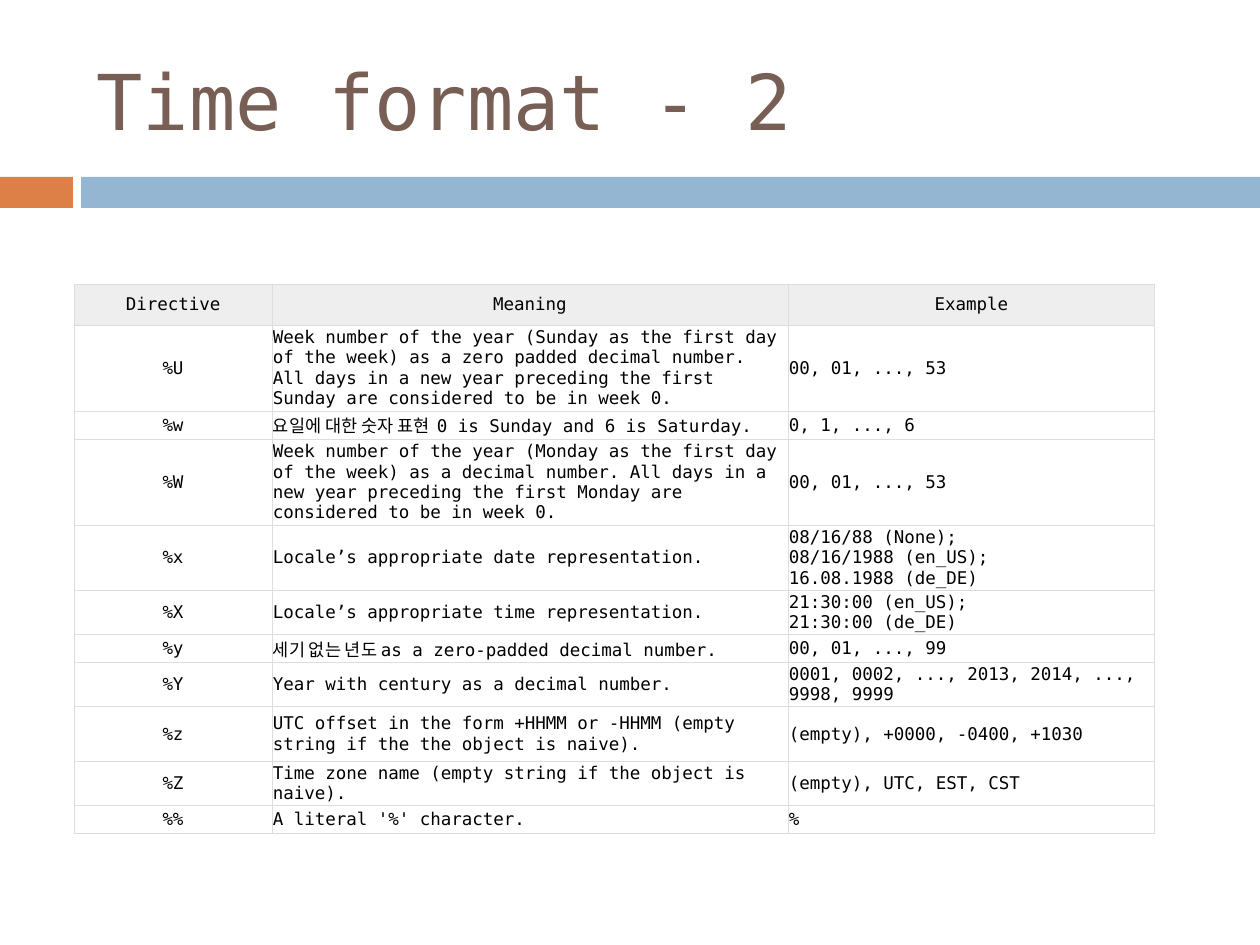
from lxml.etree import SubElement
from pptx import Presentation
from pptx.dml.color import RGBColor as Rgb
from pptx.enum.shapes import MSO_SHAPE as Kind
from pptx.enum.text import MSO_ANCHOR as Anchor, PP_ALIGN as Align
from pptx.oxml.ns import qn
from pptx.util import Pt

SCALE = 914400 / 126
FONT = "DejaVu Sans Mono"
COLORS = {
    "title": "775F55",
    "accent": "DD8047",
    "band": "94B6D2",
    "head": "EEEEEE",
    "body": "FFFFFF",
    "text": "000000",
    "edge": "DDDDDD",
}
COLS = [198, 516, 367]
ROWS = [
    ("Directive", "Meaning", "Example"),
    ("%U", "Week number of the year (Sunday as the first day of the week) as a zero padded "
           "decimal number. All days in a new year preceding the first Sunday are considered "
           "to be in week 0.", "00, 01, ..., 53"),
    ("%w", "요일에 대한 숫자 표현  0 is Sunday and 6 is Saturday.", "0, 1, ..., 6"),
    ("%W", "Week number of the year (Monday as the first day of the week) as a decimal "
           "number. All days in a new year preceding the first Monday are considered "
           "to be in week 0.", "00, 01, ..., 53"),
    ("%x", "Locale’s appropriate date representation.",
     "08/16/88 (None);\n08/16/1988 (en_US);\n16.08.1988 (de_DE)"),
    ("%X", "Locale’s appropriate time representation.",
     "21:30:00 (en_US);\n21:30:00 (de_DE)"),
    ("%y", "세기 없는 년도 as a zero-padded decimal number.", "00, 01, ..., 99"),
    ("%Y", "Year with century as a decimal number.",
     "0001, 0002, ..., 2013, 2014, ..., 9998, 9999"),
    ("%z", "UTC offset in the form +HHMM or -HHMM (empty string if the the object is naive).",
     "(empty), +0000, -0400, +1030"),
    ("%Z", "Time zone name (empty string if the object is naive).",
     "(empty), UTC, EST, CST"),
    ("%%", "A literal '%' character.", "%"),
]
TALL = {0: 41, 8: 55}


def px(n):
    return round(n * SCALE)


def rgb(name):
    return Rgb.from_string(COLORS[name])


def style(para, size, color, align):
    para.alignment = align
    para.font.name = FONT
    para.font.size = Pt(size)
    para.font.color.rgb = rgb(color)


def add_title(slide, x, y, w, h):
    frame = slide.shapes.add_textbox(px(x), px(y), px(w), px(h)).text_frame
    frame.word_wrap = True
    frame.vertical_anchor = Anchor.MIDDLE
    frame.text = "Time format - 2"
    style(frame.paragraphs[0], 44, "title", Align.LEFT)


def add_band(slide, x, y, w, h):
    left, gap = 73, 8
    parts = [(x, left, "accent"), (x + left + gap, w - left - gap, "band")]
    for start, width, color in parts:
        bar = slide.shapes.add_shape(Kind.RECTANGLE, px(start), px(y), px(width), px(h))
        bar.shadow.inherit = False
        bar.fill.solid()
        bar.fill.fore_color.rgb = rgb(color)
        bar.line.fill.background()


def add_edges(cell):
    props = cell._tc.get_or_add_tcPr()
    for side in ("lnL", "lnR", "lnT", "lnB"):
        line = SubElement(props, qn(f"a:{side}"), w=str(Pt(0.6)))
        fill = SubElement(line, qn("a:solidFill"))
        SubElement(fill, qn("a:srgbClr"), val=COLORS["edge"])


def fill_cell(cell, text, color, align):
    add_edges(cell)
    cell.fill.solid()
    cell.fill.fore_color.rgb = rgb(color)
    cell.vertical_anchor = Anchor.MIDDLE
    cell.margin_left = cell.margin_right = px(1)
    cell.margin_top = cell.margin_bottom = px(1)
    cell.text = text
    for para in cell.text_frame.paragraphs:
        style(para, 10, "text", align)


def add_grid(slide, x, y, w, h):
    table = slide.shapes.add_table(
        len(ROWS), len(COLS), px(x), px(y), px(w), px(h)).table
    table.first_row = table.horz_banding = False
    for col, width in zip(table.columns, COLS):
        col.width = px(width)
    for i, texts in enumerate(ROWS):
        table.rows[i].height = px(TALL.get(i, 28))
        for j, text in enumerate(texts):
            color = "body" if i else "head"
            align = Align.LEFT if i and j else Align.CENTER
            fill_cell(table.cell(i, j), text, color, align)


def main():
    deck = Presentation()
    deck.slide_width, deck.slide_height = px(1260), px(945)
    slide = deck.slides.add_slide(deck.slide_layouts[6])
    add_band(slide, 0, 177, 1260, 31)
    add_title(slide, 84, 32, 1124, 136)
    add_grid(slide, 74, 284, sum(COLS), 348)
    deck.save("out.pptx")


if __name__ == "__main__":
    main()
